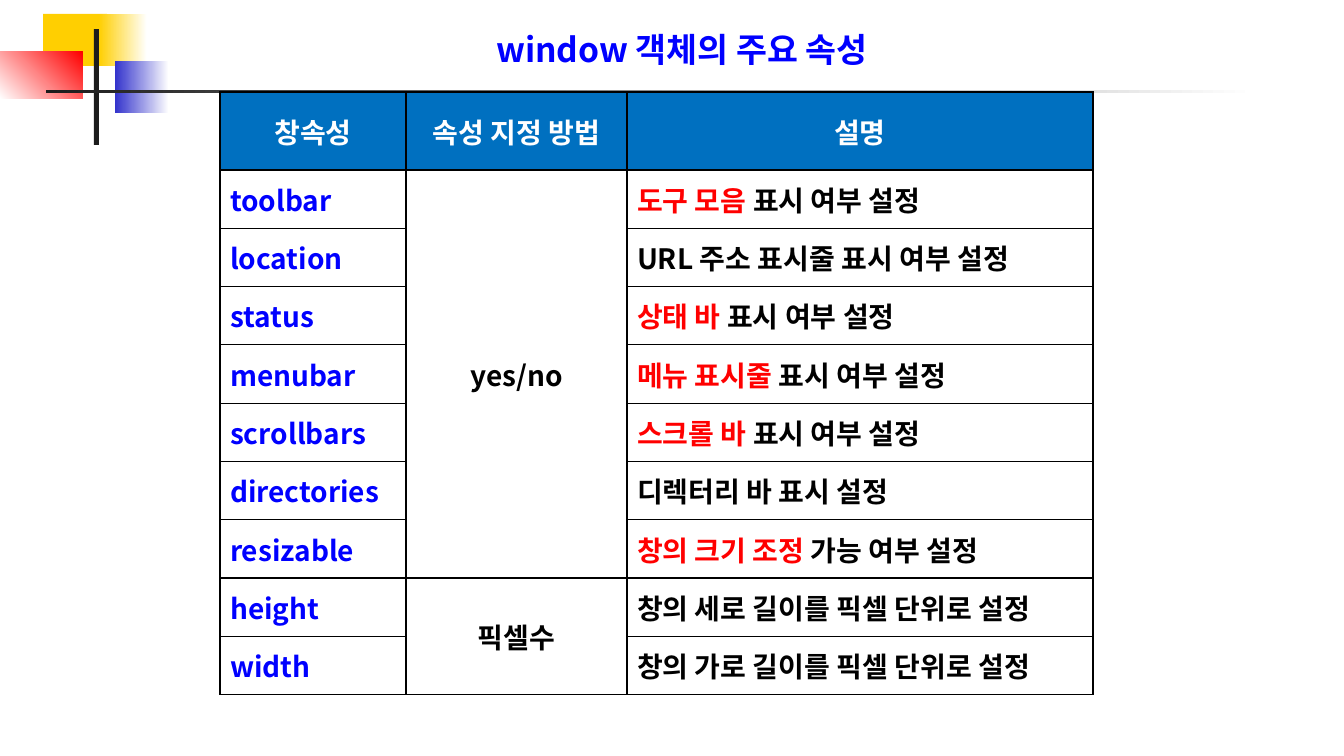
from lxml import etree
from pptx import Presentation, util as u
from pptx.dml.color import RGBColor
from pptx.enum import shapes, text
from pptx.oxml import ns

SCALE = 914400 / 100.8  # EMU in one px
FONT = "Noto Sans CJK KR"
BLUE, RED, BLACK, WHITE = "0000FF", "FF0000", "000000", "FFFFFF"
rgb = RGBColor.from_string


def px(*lengths):
    return [round(n * SCALE) for n in lengths]


def write(tf, runs, size, align):
    tf.vertical_anchor = text.MSO_ANCHOR.MIDDLE
    p = tf.paragraphs[0]
    p.alignment = align
    for words, color in runs:
        r = p.add_run()
        r.text = words
        for name, value in {"name": FONT, "size": u.Pt(size), "bold": True}.items():
            setattr(r.font, name, value)
        r.font.color.rgb = rgb(color)
        etree.SubElement(r.font._element, ns.qn("a:ea"), typeface=FONT)


prs = Presentation()
prs.slide_width, prs.slide_height = px(1344, 756)
s = prs.slides.add_slide(prs.slide_layouts[5])
LEFT, CENTER = text.PP_ALIGN.LEFT, text.PP_ALIGN.CENTER

# Corner decoration: box, colours from start to end, angle
decoration = [
    ((43, 14, 64, 52), ["FFCF01"], 0),
    ((99, 14, 48, 52), ["FFCF01", WHITE], 0),
    ((115, 61, 54, 52), ["3333CC", WHITE], 0),
    ((0, 52, 83, 47), [WHITE, RED], 45),
    ((94, 29, 5, 116), ["1C1C1C"], 0),
    ((46, 90, 1210, 3), ["1C1C1C", WHITE], 0),
]
for box, colors, angle in decoration:
    sp = s.shapes.add_shape(shapes.MSO_SHAPE.RECTANGLE, *px(*box))
    sp.shadow.inherit = False
    sp.line.fill.background()
    if len(colors) == 1:
        sp.fill.solid()
        sp.fill.fore_color.rgb = rgb(colors[0])
    else:
        sp.fill.gradient()
        sp.fill.gradient_angle = angle
        for stop, color in zip(sp.fill.gradient_stops, colors):
            stop.color.rgb = rgb(color)

# Title
title = s.shapes.title
title.left, title.top, title.width, title.height = px(486, 24, 427, 50)
title.text_frame.word_wrap = True
title.text_frame.auto_size = text.MSO_AUTO_SIZE.NONE
write(title.text_frame, [("window 객체의 주요 속성", BLUE)], 24, LEFT)

# Table contents: property, way of setting, highlighted words, remaining words
headings = ["창속성", "속성 지정 방법", "설명"]
properties = [
    ("toolbar", "yes/no", "도구 모음 ", "표시 여부 설정"),
    ("location", "", "", "URL 주소 표시줄 표시 여부 설정"),
    ("status", "", "상태 바 ", "표시 여부 설정"),
    ("menubar", "", "메뉴 표시줄 ", "표시 여부 설정"),
    ("scrollbars", "", "스크롤 바 ", "표시 여부 설정"),
    ("directories", "", "", "디렉터리 바 표시 설정"),
    ("resizable", "", "창의 크기 조정 ", "가능 여부 설정"),
    ("height", "픽셀수", "", "창의 세로 길이를 픽셀 단위로 설정"),
    ("width", "", "", "창의 가로 길이를 픽셀 단위로 설정"),
]
rows = [[[(h, WHITE)] for h in headings]]
for name, method, marked, rest in properties:
    rows.append([[(name, BLUE)], [(method, BLACK)], [(marked, RED), (rest, BLACK)]])

# Table grid
table = s.shapes.add_table(len(rows), 3, *px(220, 92, 873, 603)).table
table.first_row = table.horz_banding = False
for column, width in zip(table.columns, px(186, 221, 466)):
    column.width = width
head_height, body_height = px(78, 525)
for i, row in enumerate(table.rows):
    row.height = body_height // len(properties) if i else head_height
table.cell(1, 1).merge(table.cell(7, 1))
table.cell(8, 1).merge(table.cell(9, 1))

# Table cells
for i, row in enumerate(rows):
    for j, runs in enumerate(row):
        cell = table.cell(i, j)
        runs = [run for run in runs if run[0]]
        write(cell.text_frame, runs, 20, CENTER if i == 0 or j == 1 else LEFT)
        cell.vertical_anchor = text.MSO_ANCHOR.MIDDLE
        tcPr = cell._tc.get_or_add_tcPr()
        for side in ("lnL", "lnR", "lnT", "lnB"):
            ln = etree.SubElement(tcPr, ns.qn("a:" + side), w=str(u.Pt(1)))
            fill = etree.SubElement(ln, ns.qn("a:solidFill"))
            etree.SubElement(fill, ns.qn("a:srgbClr"), val=BLACK)
        if i == 0:
            cell.fill.solid()
            cell.fill.fore_color.rgb = rgb("0070C0")
        else:
            cell.fill.background()

prs.save("out.pptx")
